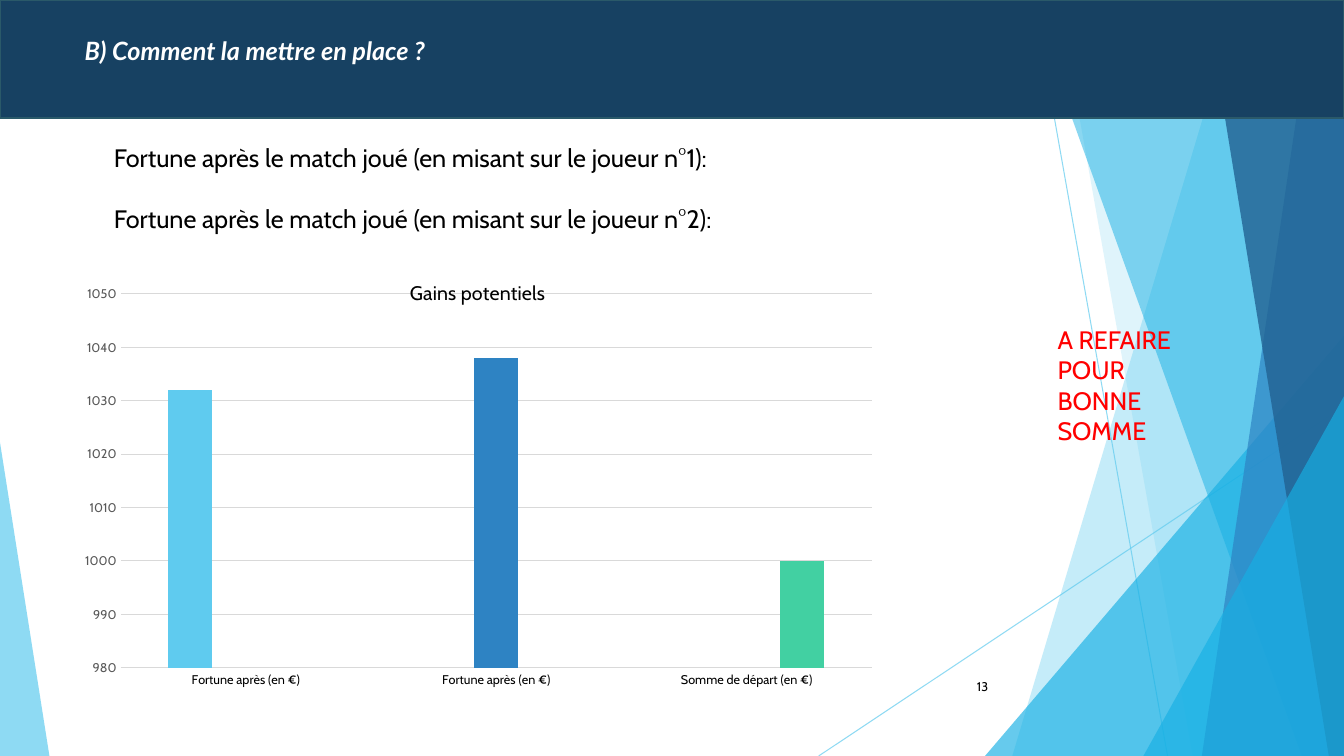
from lxml.etree import SubElement
from pptx import Presentation
from pptx.chart.data import CategoryChartData
from pptx.dml.color import RGBColor
from pptx.enum.chart import XL_CHART_TYPE, XL_TICK_MARK
from pptx.enum.shapes import MSO_CONNECTOR, MSO_SHAPE
from pptx.enum.text import MSO_ANCHOR, PP_ALIGN
from pptx.oxml import parse_xml
from pptx.oxml.ns import nsdecls, qn
from pptx.util import Inches, Pt

WIDE, HIGH = 13.33, 7.5
SKY = RGBColor(0x5F, 0xCB, 0xEF)
CYAN = RGBColor(0x17, 0xB0, 0xE4)
BLUE = RGBColor(0x2E, 0x83, 0xC3)
DEEP = RGBColor(0x22, 0x62, 0x92)
GREEN = RGBColor(0x42, 0xD0, 0xA2)
NAVY = RGBColor(0x17, 0x41, 0x62)
EDGE = RGBColor(0x2A, 0x59, 0x69)
GRID = RGBColor(0xD9, 0xD9, 0xD9)
GREY = RGBColor(0x59, 0x59, 0x59)
BLACK = RGBColor(0, 0, 0)
WHITE = RGBColor(0xFF, 0xFF, 0xFF)
RED = RGBColor(0xFF, 0, 0)


def style(font, color, **values):
    for key, value in values.items():
        setattr(font, key, value)
    font.color.rgb = color


def paint(fill, color):
    fill.solid()
    fill.fore_color.rgb = color


def fade(shape, percent):
    color = next(shape._element.spPr.iter(qn("a:srgbClr")))
    SubElement(color, qn("a:alpha")).set("val", str(percent * 1000))


def tint(shape, color, percent):
    shape.shadow.inherit = False
    paint(shape.fill, color)
    shape.line.fill.background()
    fade(shape, percent)


def add_ray(slide, start, end):
    ray = slide.shapes.add_connector(
        MSO_CONNECTOR.STRAIGHT, *map(Inches, start + end))
    ray.line.color.rgb = SKY
    ray.line.width = Pt(0.75)
    fade(ray, 70)
    SubElement(ray._element.spPr, qn("a:effectLst"))


def add_band(slide, top, base, color, percent):
    points = [(top, 0), (WIDE, 0), (WIDE, HIGH), (base, HIGH)]
    points = [(Inches(x), Inches(y)) for x, y in points]
    build = slide.shapes.build_freeform(*points[0])
    build.add_line_segments(points[1:], close=True)
    tint(build.convert_to_shape(), color, percent)


def add_wedge(slide, box, apex, color, percent):
    wedge = slide.shapes.add_shape(
        MSO_SHAPE.ISOSCELES_TRIANGLE, *map(Inches, box))
    wedge.adjustments[0] = apex
    tint(wedge, color, percent)


def add_decor(slide):
    add_ray(slide, (10.25, 0), (11.58, HIGH))
    add_ray(slide, (WIDE, 4.03), (8.12, HIGH))
    add_band(slide, 12.28, 10.04, SKY, 36)
    add_band(slide, 10.5, 11.83, SKY, 20)
    add_wedge(slide, (9.77, 3.33, 3.56, 4.17), 1, CYAN, 66)
    for band in [(10.21, 12.91, CYAN, 50), (13.03, 11.92, BLUE, 70),
                 (11.96, 13.18, DEEP, 80)]:
        add_band(slide, *band)
    add_wedge(slide, (11.34, 3.93, 1.99, 3.57), 1, CYAN, 66)
    add_wedge(slide, (0, 4.39, 0.49, 3.11), 0, SKY, 70)


def add_text(slide, box, lines, color, align=PP_ALIGN.LEFT, gap=0,
             anchor=MSO_ANCHOR.TOP, name="Cabin", size=18, **values):
    frame = slide.shapes.add_textbox(*map(Inches, box)).text_frame
    frame.word_wrap = True
    frame.vertical_anchor = anchor
    frame.text = "\n".join(lines)
    for order, para in enumerate(frame.paragraphs):
        para.alignment = align
        para.space_before = Pt(gap if order else 0)
        style(para.runs[0].font, color, name=name, size=Pt(size), **values)


def add_header(slide, box):
    left, top, width, height = box
    bar = slide.shapes.add_shape(MSO_SHAPE.RECTANGLE, *map(Inches, box))
    bar.shadow.inherit = False
    paint(bar.fill, NAVY)
    bar.line.color.rgb = EDGE
    bar.line.width = Pt(1.5)
    add_text(slide, (left + 0.74, top + 0.3, 4.17, 0.4),
             ["B) Comment la mettre en place ?"], WHITE,
             name="Lato", bold=True, italic=True)


def set_layout(parent, order, **values):
    for old in parent.findall(qn("c:layout")):
        parent.remove(old)
    items = "".join(f'<c:{key} val="{value}"/>' for key, value in values.items())
    parent.insert(order, parse_xml(
        f'<c:layout {nsdecls("c")}><c:manualLayout>{items}'
        '</c:manualLayout></c:layout>'))


def add_gains(slide, box):
    data = CategoryChartData()
    data.categories = ["Fortune après (en €)", "Fortune après (en €)",
                       "Somme de départ (en €)"]
    for order, value in enumerate([1032, 1038, 1000]):
        row = [None] * 3
        row[order] = value
        data.add_series(f"Series {order + 1}", row)
    chart = slide.shapes.add_chart(
        XL_CHART_TYPE.COLUMN_CLUSTERED, *map(Inches, box), data).chart
    style(chart.font, BLACK, name="Cabin", size=Pt(10))
    chart.has_legend = False
    chart.has_title = True
    title = chart.chart_title
    title.text_frame.text = "Gains potentiels"
    style(title.text_frame.paragraphs[0].runs[0].font, BLACK,
          name="Cabin", size=Pt(14), bold=False)
    set_layout(title._element, 1, xMode="edge", yMode="edge", x=0.4, y=0.04)
    set_layout(chart._chartSpace.chart.plotArea, 0, layoutTarget="inner",
               xMode="edge", yMode="edge", x=0.05, y=0.08, w=0.92, h=0.81)

    plot = chart.plots[0]
    for key, value in {"gap_width": 219, "overlap": -27,
                       "vary_by_categories": False}.items():
        setattr(plot, key, value)
    for series, color in zip(plot.series, [SKY, BLUE, GREEN]):
        paint(series.format.fill, color)

    scale = chart.value_axis
    for key, value in {"minimum_scale": 980, "maximum_scale": 1050,
                       "major_unit": 10}.items():
        setattr(scale, key, value)
    for axis, color in [(chart.category_axis, BLACK), (scale, GREY)]:
        axis.major_tick_mark = XL_TICK_MARK.NONE
        axis.minor_tick_mark = XL_TICK_MARK.NONE
        style(axis.tick_labels.font, color, name="Cabin", size=Pt(9))
    scale.format.line.fill.background()
    for line in [scale.major_gridlines.format.line,
                 chart.category_axis.format.line]:
        line.color.rgb = GRID
        line.width = Pt(0.75)


def main():
    deck = Presentation()
    deck.slide_width, deck.slide_height = Inches(WIDE), Inches(HIGH)
    slide = deck.slides.add_slide(deck.slide_layouts[6])
    add_decor(slide)
    add_text(slide, (1.03, 1.36, 8.62, 1.01),
             [f"Fortune après le match joué (en misant sur le joueur n°{rank}):"
              for rank in (1, 2)], BLACK, gap=22)
    add_gains(slide, (0.79, 2.55, 8.1, 4.58))
    add_text(slide, (9.39, 6.61, 0.51, 0.4), ["13"], BLACK,
             align=PP_ALIGN.RIGHT, anchor=MSO_ANCHOR.MIDDLE, size=9)
    add_header(slide, (0, 0, WIDE, 1.17))
    add_text(slide, (10.39, 3.17, 1.48, 1.31),
             ["A REFAIRE POUR BONNE SOMME"], RED)
    deck.save("out.pptx")


if __name__ == "__main__":
    main()
